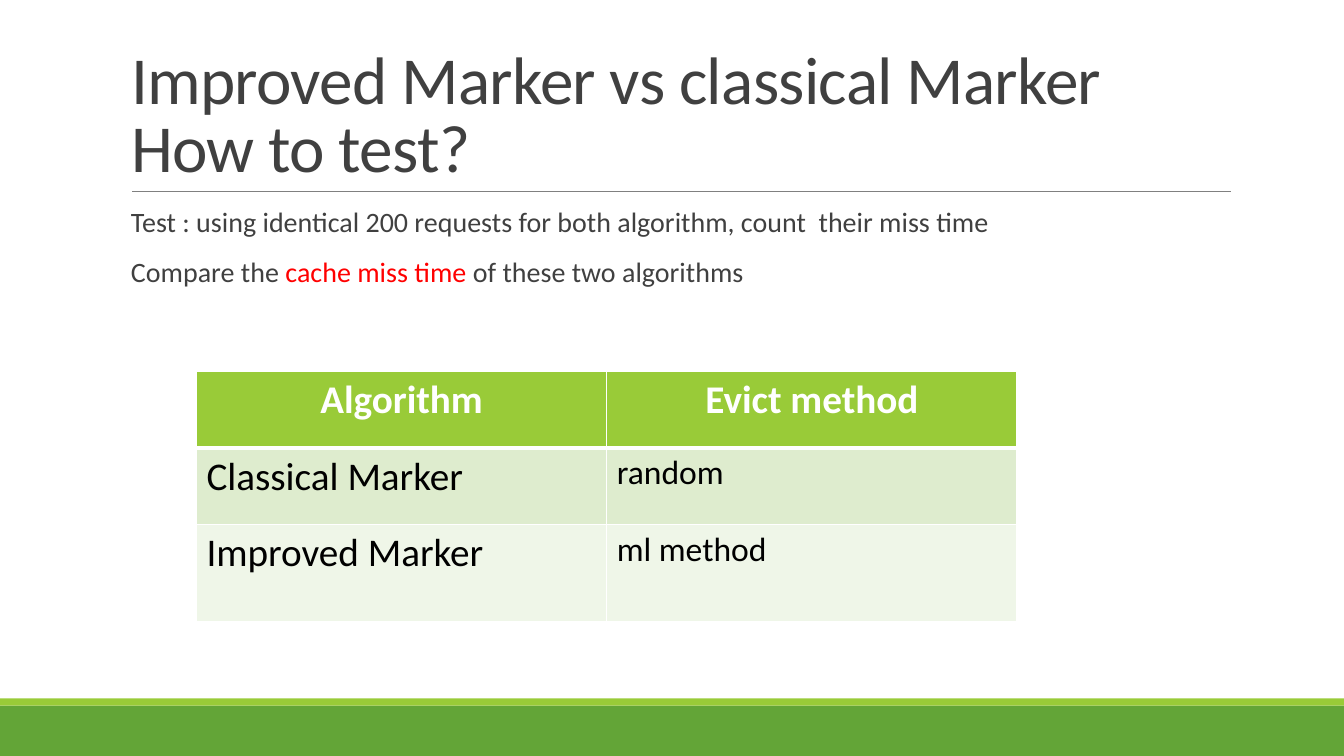
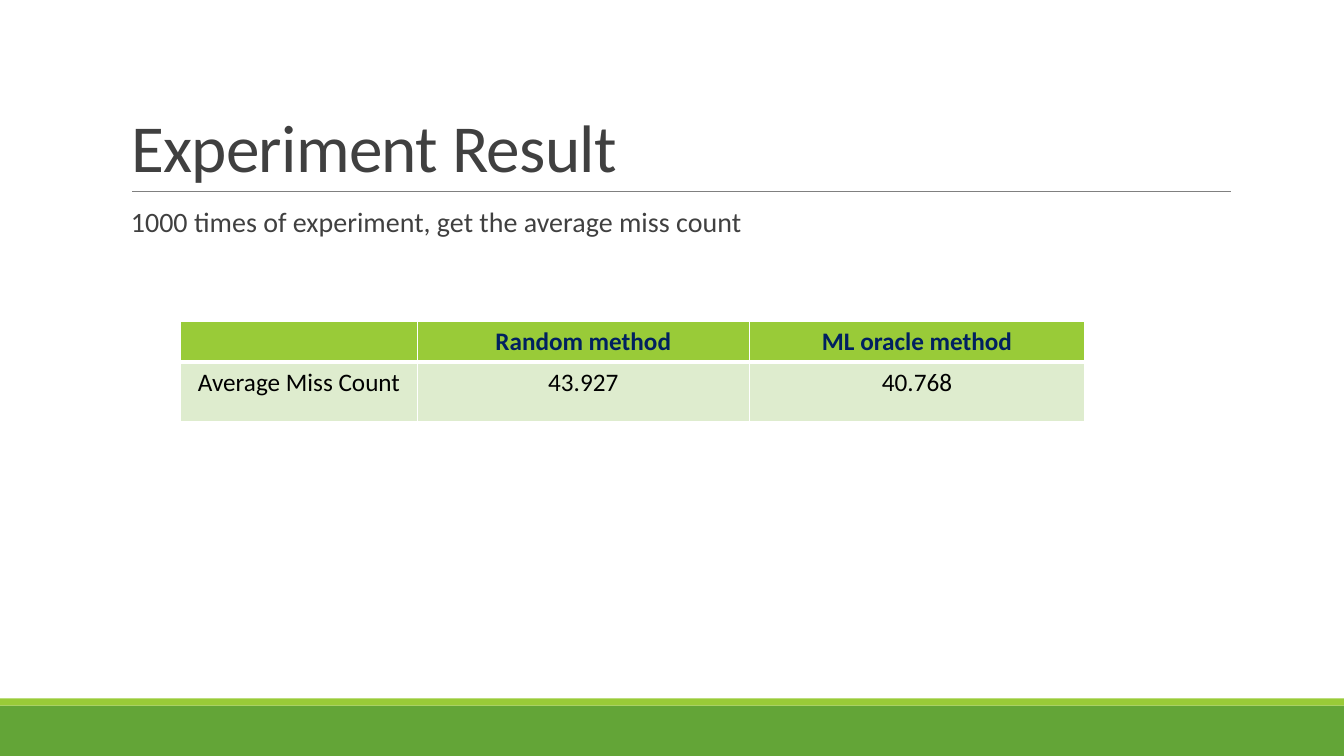
from lxml.etree import SubElement
from pptx import Presentation
from pptx.dml.color import RGBColor
from pptx.enum.shapes import MSO_CONNECTOR, MSO_SHAPE
from pptx.enum.text import MSO_ANCHOR, MSO_AUTO_SIZE, PP_ALIGN
from pptx.oxml.ns import qn
from pptx.util import Cm, Pt


def color(value):
    return RGBColor.from_string(value)


class Deck:
    FONT = "Calibri"
    TEXT = "404040"
    BLACK = "000000"
    WHITE = "FFFFFF"
    RED = "FF0000"
    NAVY = "002060"
    RULE = "808080"
    GREEN = "63A537"
    LIME = "99CB38"
    ROW_FILLS = ("DEECCE", "EFF6E8")

    def __init__(self):
        self.presentation = Presentation()
        self.presentation.slide_width = Cm(33.87)
        self.presentation.slide_height = Cm(19.05)
        self.slide = None

    def add_slide(self, title_lines):
        layout = self.presentation.slide_layouts[1]
        self.slide = self.presentation.slides.add_slide(layout)
        self.band(17.78, 1.27, self.GREEN)
        self.band(17.6, 0.18, self.LIME)
        self.rule(3.33, 31.01, 4.82)
        self.title(title_lines)

    def band(self, top, height, fill):
        shape = self.slide.shapes.add_shape(
            MSO_SHAPE.RECTANGLE, 0, Cm(top), self.presentation.slide_width, Cm(height))
        shape.shadow.inherit = False
        shape.fill.solid()
        shape.fill.fore_color.rgb = color(fill)
        shape.line.fill.background()

    def rule(self, left, right, top):
        connector = self.slide.shapes.add_connector(
            MSO_CONNECTOR.STRAIGHT, Cm(left), Cm(top), Cm(right), Cm(top))
        connector.line.color.rgb = color(self.RULE)
        connector.line.width = Pt(0.5)
        SubElement(connector._element.spPr, qn("a:effectLst"))

    def place(self, shape, top, height):
        shape.left, shape.top = Cm(3.05), Cm(top)
        shape.width, shape.height = Cm(27.94), Cm(height)
        shape.text_frame.auto_size = MSO_AUTO_SIZE.NONE
        shape.text_frame.word_wrap = True
        return shape.text_frame

    def run(self, paragraph, text, size, text_color, bold=False):
        run = paragraph.add_run()
        run.text = text
        run.font.name = self.FONT
        run.font.size = Pt(size)
        run.font.bold = bold
        run.font.color.rgb = color(text_color)
        return run

    def title(self, lines):
        frame = self.place(self.slide.shapes.title, 0.79, 4.04)
        frame.vertical_anchor = MSO_ANCHOR.BOTTOM
        paragraph = frame.paragraphs[0]
        paragraph.alignment = PP_ALIGN.LEFT
        paragraph.line_spacing = 0.85
        for index, line in enumerate(lines):
            if index:
                paragraph.add_line_break()
            run = self.run(paragraph, line, 48, self.TEXT)
            run._r.get_or_add_rPr().set("spc", "-50")

    def body(self, paragraphs):
        frame = self.place(self.slide.placeholders[1], 5.13, 11.18)
        frame.margin_left = frame.margin_right = 0
        frame.vertical_anchor = MSO_ANCHOR.TOP
        for index, runs in enumerate(paragraphs):
            paragraph = frame.add_paragraph() if index else frame.paragraphs[0]
            paragraph.alignment = PP_ALIGN.LEFT
            paragraph.line_spacing = 0.9
            paragraph.space_before = Pt(12)
            paragraph.space_after = Pt(2)
            properties = paragraph._p.get_or_add_pPr()
            properties.set("marL", str(Cm(0.25)))
            properties.set("indent", "0")
            SubElement(properties, qn("a:buNone"))
            for text, text_color in runs:
                self.run(paragraph, text, 20, text_color)

    def borders(self, cell, row_index):
        properties = cell._tc.get_or_add_tcPr()
        widths = {"L": 1, "R": 1,
                  "T": 3 if row_index == 1 else 1,
                  "B": 3 if row_index == 0 else 1}
        for side, width in widths.items():
            line = SubElement(properties, qn(f"a:ln{side}"), w=str(Pt(width)))
            fill = SubElement(line, qn("a:solidFill"))
            SubElement(fill, qn("a:srgbClr"), val=self.WHITE)

    def table(self, left, top, widths, heights, rows, header_color, sizes, body_alignment):
        table = self.slide.shapes.add_table(
            len(rows), len(widths), Cm(left), Cm(top),
            Cm(sum(widths)), Cm(sum(heights))).table
        table.horz_banding = False
        for column, width in zip(table.columns, widths):
            column.width = Cm(width)
        for row_index, (row, height, values) in enumerate(zip(table.rows, heights, rows)):
            row.height = Cm(height)
            header = row_index == 0
            fill = self.LIME if header else self.ROW_FILLS[(row_index - 1) % 2]
            for cell, text, size in zip(row.cells, values, sizes):
                self.borders(cell, row_index)
                cell.fill.solid()
                cell.fill.fore_color.rgb = color(fill)
                paragraph = cell.text_frame.paragraphs[0]
                paragraph.alignment = PP_ALIGN.CENTER if header else body_alignment
                if text:
                    self.run(paragraph, text, sizes[0] if header else size,
                             header_color if header else self.BLACK, header)

    def save(self):
        self.presentation.save("out.pptx")


def main():
    deck = Deck()

    deck.add_slide(["Improved Marker vs classical Marker", "How to test?"])
    deck.body([
        [("Test : using identical 200 requests for both algorithm, count  their miss time",
          deck.TEXT)],
        [("Compare the ", deck.TEXT), ("cache miss time ", deck.RED),
         ("of these two algorithms", deck.TEXT)],
    ])
    deck.table(
        4.95, 9.36, [10.34, 10.34], [1.93, 1.93, 2.44],
        [["Algorithm", "Evict method"],
         ["Classical Marker", "random"],
         ["Improved Marker", "ml method"]],
        deck.WHITE, [28, 24], PP_ALIGN.LEFT)

    deck.add_slide(["Experiment Result"])
    deck.body([[("1000 times of experiment, get the average miss count", deck.TEXT)]])
    deck.table(
        4.55, 8.1, [5.97, 8.36, 8.46], [1.02, 1.5],
        [["", "Random method", "ML oracle method"],
         ["Average Miss Count", "43.927", "40.768"]],
        deck.NAVY, [18, 18, 18], PP_ALIGN.CENTER)

    deck.save()


if __name__ == "__main__":
    main()
